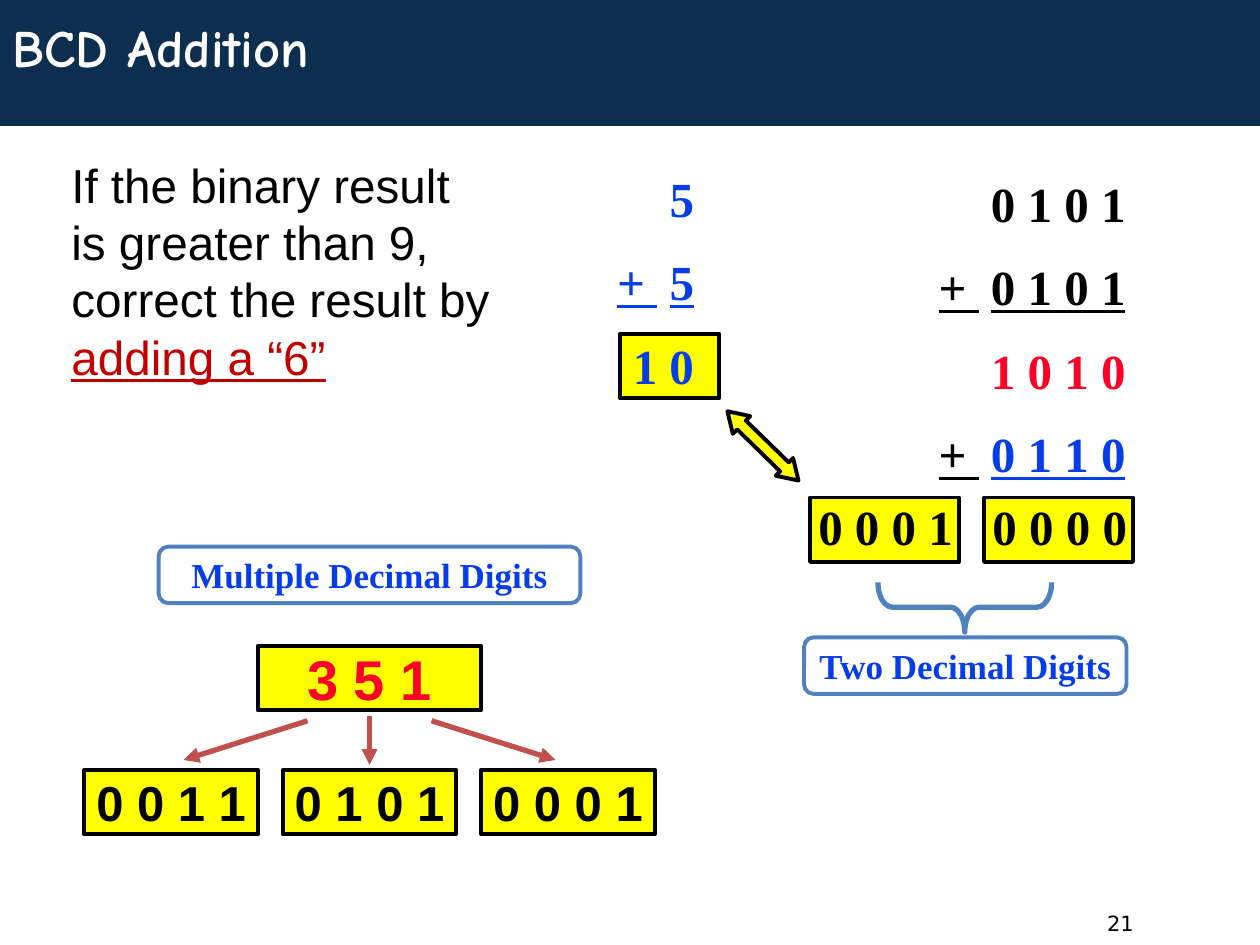
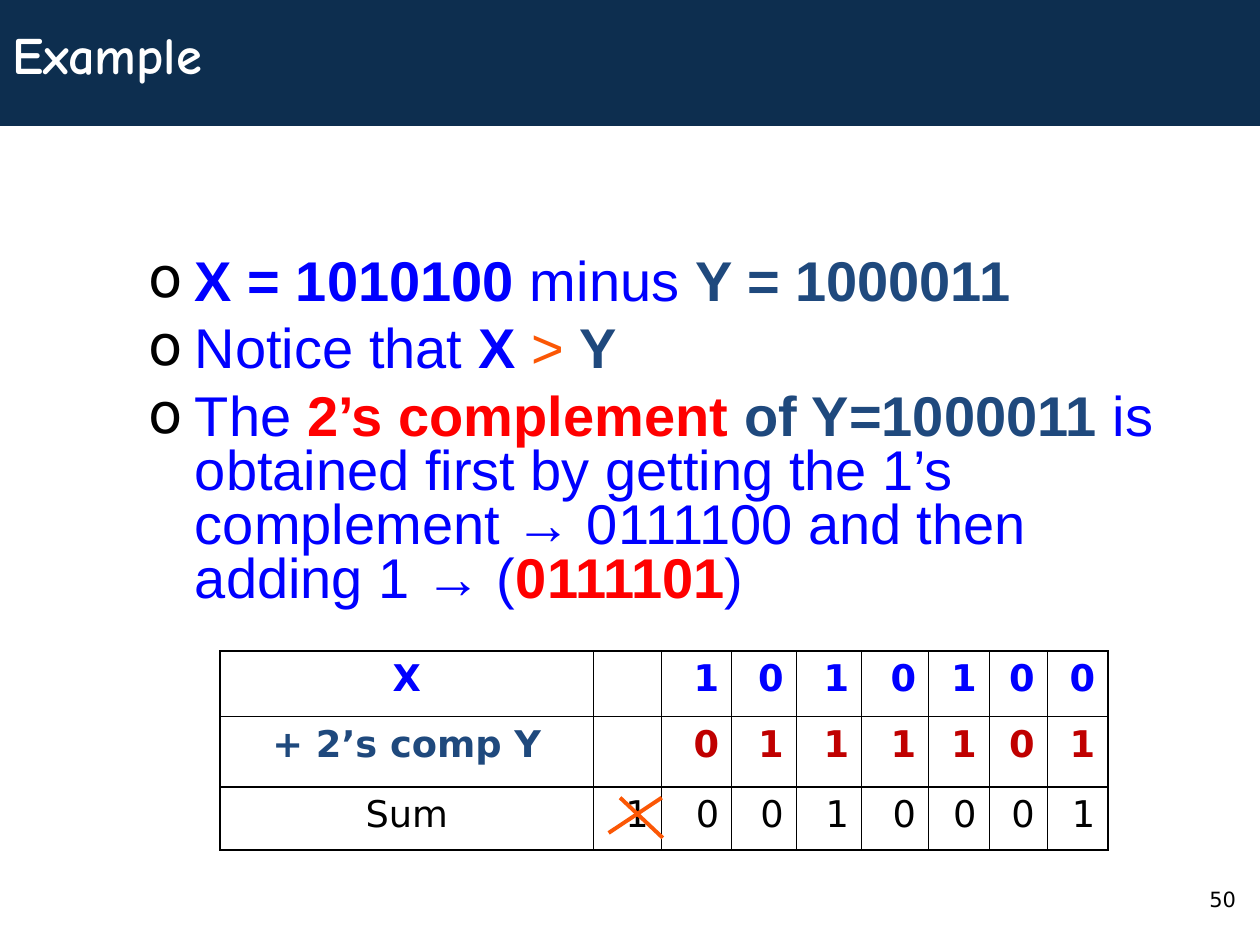
from pptx import Presentation
from pptx.dml.color import RGBColor
from pptx.enum.shapes import MSO_CONNECTOR, MSO_SHAPE as SHAPE
from pptx.enum.text import MSO_ANCHOR as ANCHOR, PP_ALIGN as ALIGN
from pptx.oxml.ns import qn
from pptx.util import Cm, Pt
from lxml.etree import SubElement

NAVY, WHITE, BLACK, YELLOW = "0D2E4F", "FFFFFF", "000000", "FFFF00"
ROYAL, RED, DARK_RED, STEEL = "063DE8", "FC0128", "C00000", "4F81BD"
BLUE, SLATE, PURE_RED, ORANGE = "0000FF", "1F497D", "FF0000", "FB5705"
ARROW_RED = "C0504D"

TITLE = dict(name="Comic Neue", size=Pt(30), bold=True, color=WHITE)
PAGE = dict(name="DejaVu Sans", size=Pt(12))
ADVICE = dict(name="Arial", size=Pt(27.2))
SUM = dict(name="Times New Roman", size=Pt(28), bold=True)
LABEL = dict(name="Times New Roman", size=Pt(20), bold=True, color=ROYAL)
DIGITS = dict(name="Arial", size=Pt(28), bold=True)
BULLET = dict(name="Arial", size=Pt(32), color=BLUE)
CELL = dict(name="DejaVu Sans", size=Pt(21))
STRONG = dict(bold=True)
STRONG_SLATE = dict(bold=True, color=SLATE)
STRONG_RED = dict(bold=True, color=PURE_RED)
LINED = dict(underline=True)
WIDE_GAP = dict(underline=True, spacing=700)


def rgb(value):
    return RGBColor.from_string(value)


def cm(*lengths):
    return [Cm(v) for v in lengths]


def add_run(p, text, fmt):
    """Add text to p, with a line break at each newline."""
    for i, line in enumerate(text.split("\n")):
        if i:
            p.add_line_break()
        if not line:
            continue
        r = p.add_run()
        r.text = line
        r.font.color.rgb = rgb(fmt.get("color", BLACK))
        if "spacing" in fmt:
            r._r.get_or_add_rPr().set("spc", str(fmt["spacing"]))
        for key, value in fmt.items():
            if key not in ("color", "spacing"):
                setattr(r.font, key, value)


def add_bullet(p):
    pPr = p._p.get_or_add_pPr()
    pPr.set("marL", str(Cm(0.94)))
    pPr.set("indent", str(Cm(-0.94)))
    SubElement(SubElement(pPr, qn("a:buClr")), qn("a:srgbClr"), val=BLACK)
    SubElement(pPr, qn("a:buFont"), typeface="DejaVu Sans")
    SubElement(pPr, qn("a:buChar"), char="o")


def write(tf, paragraphs, base, align=ALIGN.LEFT, spacing=None, before=0, bullet=False):
    """Fill tf; each paragraph is a list of (text, changes to base)."""
    for i, runs in enumerate(paragraphs):
        p = tf.add_paragraph() if i else tf.paragraphs[0]
        if bullet:
            add_bullet(p)
        p.alignment = align
        if spacing:
            p.line_spacing = spacing
        if i and before:
            p.space_before = Pt(before)
        for text, changes in runs:
            add_run(p, text, {**base, **changes})


def set_frame(tf, wrap=True, anchor=ANCHOR.TOP, insets=None):
    tf.word_wrap = wrap
    tf.vertical_anchor = anchor
    if insets is not None:
        for side, value in zip(("left", "top", "right", "bottom"), insets):
            setattr(tf, f"margin_{side}", Cm(value))


def add_text(s, box, paragraphs, base, anchor=ANCHOR.TOP, insets=None, **layout):
    tf = s.shapes.add_textbox(*cm(*box)).text_frame
    set_frame(tf, anchor=anchor, insets=insets)
    write(tf, paragraphs, base, **layout)


def add_box(s, kind, box, fill=None, line=None, width=2.25):
    sp = s.shapes.add_shape(kind, *cm(*box))
    sp.shadow.inherit = False
    if fill:
        sp.fill.solid()
        sp.fill.fore_color.rgb = rgb(fill)
    else:
        sp.fill.background()
    if line:
        sp.line.color.rgb = rgb(line)
        sp.line.width = Pt(width)
    else:
        sp.line.fill.background()
    return sp


def yellow_box(s, box, text=None, fmt=DIGITS, align=ALIGN.CENTER, right=0, spacing=None):
    sp = add_box(s, SHAPE.RECTANGLE, box, YELLOW, BLACK)
    if text:
        set_frame(sp.text_frame, False, ANCHOR.MIDDLE, (0, 0, right, 0))
        write(sp.text_frame, [[(text, {})]], fmt, align, spacing)


def label(s, box, text):
    sp = add_box(s, SHAPE.ROUNDED_RECTANGLE, box, line=STEEL)
    sp.adjustments[0] = 0.17
    set_frame(sp.text_frame, False, ANCHOR.MIDDLE, (0, 0, 0, 0))
    write(sp.text_frame, [[(text, {})]], LABEL, ALIGN.CENTER)


def add_line(s, ends, color, width, arrow=False):
    ln = s.shapes.add_connector(MSO_CONNECTOR.STRAIGHT, *cm(*ends))
    ln.line.color.rgb = rgb(color)
    ln.line.width = Pt(width)
    if arrow:
        SubElement(ln.line._get_or_add_ln(), qn("a:tailEnd"), type="triangle")
    SubElement(ln._element.spPr, qn("a:effectLst"))


def new_slide(prs, title, title_box, number, number_box):
    """Blank slide with the band, title and page number."""
    s = prs.slides.add_slide(prs.slide_layouts[6])
    add_box(s, SHAPE.RECTANGLE, (0, 0, 25.4, 2.54), NAVY)
    add_text(s, number_box, [[(number, {})]], PAGE)
    add_text(s, title_box, [[(title, {})]], TITLE, ANCHOR.MIDDLE)
    return s


def addition(s, box):
    """5 + 5 in decimal, and in BCD with its correction."""
    x, y, w, h = box
    right_column = dict(insets=(0, 0, 0, 0), align=ALIGN.RIGHT, spacing=0.9, before=17.5)
    # Decimal sum
    yellow_box(s, (x + 1, y + 3.23, 2, 1.3))
    add_text(s, (x, y + 0.03, 2.49, 4.45),
             [[("5", {})],
              [("+", LINED), (" ", WIDE_GAP), ("5", LINED)],
              [("1 0", {})]], {**SUM, "color": ROYAL}, **right_column)
    # Binary sum
    add_text(s, (x + w - 4.31, y + 0.13, 4, 6.12),
             [[("0 1 0 1", {})],
              [("+", LINED), (" ", WIDE_GAP), ("0 1 0 1", LINED)],
              [("1 0 1 0", dict(color=RED))],
              [("+", LINED), (" ", WIDE_GAP), ("0 1 1 0", {**LINED, "color": ROYAL})]],
             SUM, **right_column)
    # Corrected result
    for i, digit in enumerate(("0 0 0 1", "0 0 0 0")):
        yellow_box(s, (x + 4.83 + 3.51 * i, y + 6.53, 3, 1.3), digit, SUM,
                   ALIGN.RIGHT, 0.12, 0.9)
    arrow = add_box(s, SHAPE.LEFT_RIGHT_ARROW, (x + 2.88, y + 5.24, 2, 0.5), YELLOW, BLACK)
    arrow.rotation = 44.3
    arrow.adjustments[1] = 0.79
    # Brace and its label
    brace = add_box(s, SHAPE.LEFT_BRACE, (x + 7.45, y + 6.99, 1, 3.5), line=STEEL, width=3)
    brace.rotation = 270
    brace.adjustments[0] = 0.29
    label(s, (x + 4.71, y + h - 1.14, 6.5, 1.14), "Two Decimal Digits")


def digit_split(s, box):
    """A decimal number above the four-bit group of each digit."""
    x, y, w, h = box
    mid = x + w / 2
    label(s, (mid - 4.25, y, 8.5, 1.14), "Multiple Decimal Digits")
    yellow_box(s, (mid - 2.25, y + 2, 4.5, 1.3), "3 5 1",
               {**DIGITS, "size": Pt(32), "color": RED})
    for side, bits in zip((-1, 0, 1), ("0 0 1 1", "0 1 0 1", "0 0 0 1")):
        yellow_box(s, (mid - 1.75 + 4 * side, y + h - 1.3, 3.5, 1.3), bits)
        drop = 0.1 * abs(side)
        add_line(s, (mid + 1.25 * side, y + 3.41 + drop,
                     mid + 3.75 * side, y + 4.4 - drop), ARROW_RED, 3, arrow=True)


def set_borders(cell, widths):
    tcPr = cell._tc.get_or_add_tcPr()
    for side, width in zip("LRTB", widths):
        ln = SubElement(tcPr, qn(f"a:ln{side}"), w=str(Pt(width)))
        SubElement(SubElement(ln, qn("a:solidFill")), qn("a:srgbClr"), val=BLACK)


def sum_table(s, box):
    """X plus the complement of Y, with the carry crossed out."""
    x, y, w, h = box
    thin, thick = 0.45, 1.08
    col_widths = (7.52, 1.37, 1.42, 1.3, 1.32, 1.35, 1.22, 1.17, 1.22)
    row_heights = (1.32, 1.42, 1.27)
    rules = (thick, thin, thick, thick)
    rows = [("X", " 1010100", STRONG, BLUE, BLUE),
            ("+ 2’s comp Y", " 0111101", STRONG, SLATE, DARK_RED),
            ("Sum", "10010001", {}, BLACK, BLACK)]
    table = s.shapes.add_table(len(rows), len(col_widths), *cm(*box)).table
    table.first_row = table.horz_banding = False
    for column, width in zip(table.columns, col_widths):
        column.width = Cm(width)
    for i, (name, bits, weight, name_color, bit_color) in enumerate(rows):
        table.rows[i].height = Cm(row_heights[i])
        for j, text in enumerate((name, *bits)):
            cell = table.cell(i, j)
            set_borders(cell, (thin if j else thick,
                               thin if j < len(bits) else thick, rules[i], rules[i + 1]))
            cell.fill.background()
            fmt = {**CELL, **weight, "color": bit_color if j else name_color}
            write(cell.text_frame, [[(text.strip(), {})]], fmt,
                  ALIGN.RIGHT if j else ALIGN.CENTER)
    # Cross over the carry
    for x1, y1, x2, y2 in ((7.83, 3.66, 8.9, 2.95), (8.06, 2.95, 8.92, 3.76)):
        add_line(s, (x + x1, y + y1, x + x2, y + y2), ORANGE, 2.25)


def bcd_slide(prs):
    s = new_slide(prs, "BCD Addition", (0, -0.03, 25.4, 1.93), "21", (22.07, 18.24, 3.33, 0.81))
    add_text(s, (1.19, 3.02, 23, 4.88),
             [[("If the binary result\nis greater than 9,\ncorrect the result by\n", {}),
               ("adding a “6”", {**LINED, "color": DARK_RED})]], ADVICE)
    addition(s, (11.5, 3.5, 11.5, 10.49))
    digit_split(s, (1.7, 11.02, 11.5, 5.8))


def example_slide(prs):
    s = new_slide(prs, "Example", (0, 0.03, 25.4, 2.08), "50", (24.13, 17.75, 1.27, 1.27))
    add_text(s, (2.74, 5.08, 21.59, 7.42),
             [[("X = 1010100", STRONG), (" minus ", {}), ("Y = 1000011", STRONG_SLATE)],
              [("Notice that ", {}), ("X ", STRONG), ("> ", dict(color=ORANGE)),
               ("Y", STRONG_SLATE)],
              [("The ", {}), ("2’s complement ", STRONG_RED), ("of Y=1000011", STRONG_SLATE),
               (" is obtained first by getting the 1’s complement → 0111100 "
                "and then adding 1 → (", {}),
               ("0111101", STRONG_RED), (")", {})]],
             BULLET, spacing=0.8, before=8, bullet=True)
    sum_table(s, (4.44, 13.13, 17.89, 4.01))


def main():
    prs = Presentation()
    prs.slide_width, prs.slide_height = cm(25.4, 19.05)
    bcd_slide(prs)
    example_slide(prs)
    prs.save("out.pptx")


if __name__ == "__main__":
    main()
